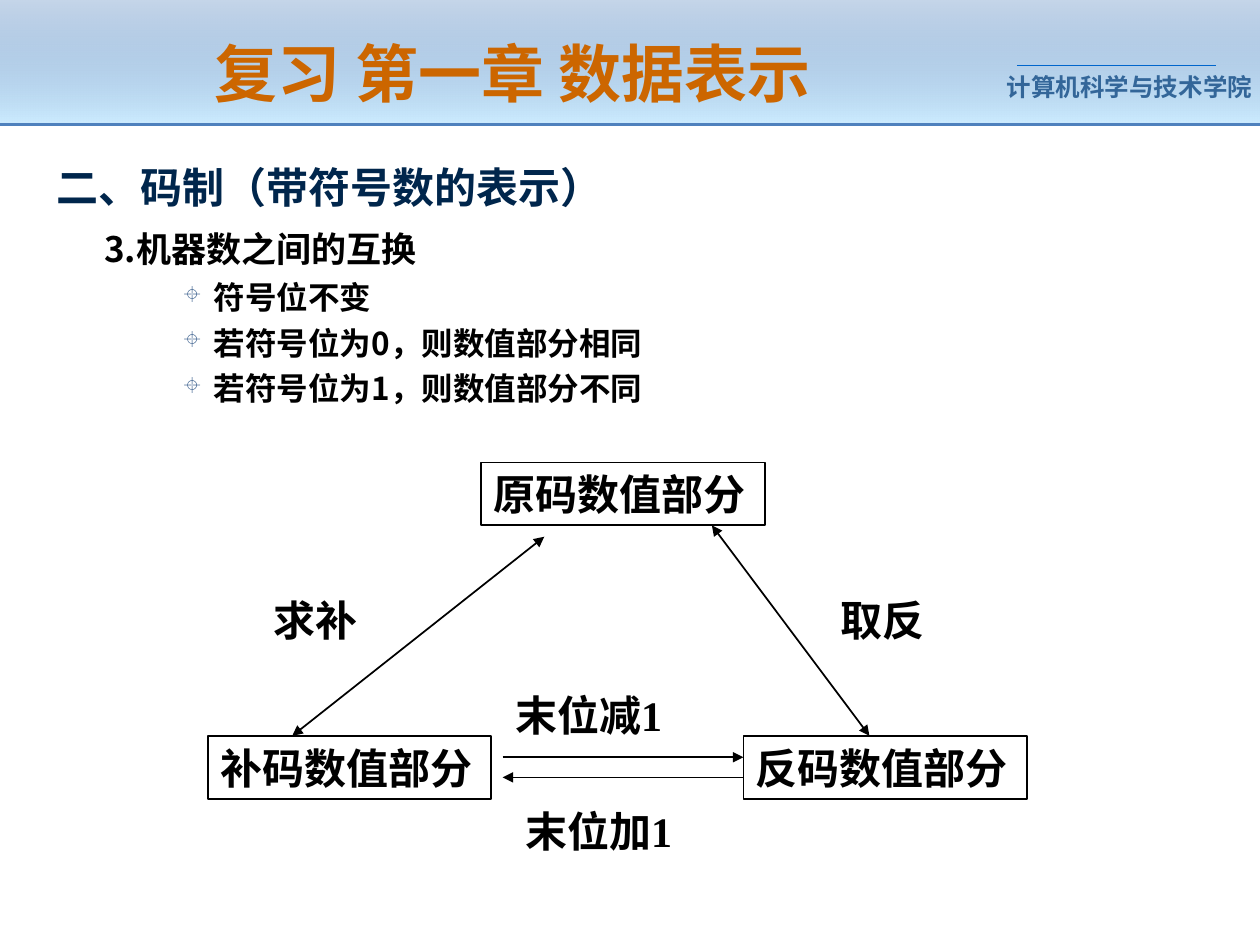
"""Build a review slide on converting between signed machine number codes."""
from dataclasses import dataclass

import pptx
import pptx.dml.color
import pptx.enum.dml
import pptx.enum.shapes
import pptx.enum.text
import pptx.oxml
import pptx.oxml.ns
import pptx.util
from pptx.dml.color import RGBColor
from pptx.util import Inches, Pt

BLACK = RGBColor(0x00, 0x00, 0x00)
NAVY = RGBColor(0x00, 0x26, 0x4C)
ORANGE = RGBColor(0xCC, 0x66, 0x00)
SCHOOL_BLUE = RGBColor(0x33, 0x66, 0x99)
RULE_BLUE = RGBColor(0x00, 0x66, 0xCC)
BAND_BLUE = RGBColor(0x4F, 0x81, 0xBD)
BAND_PALE = RGBColor(0xCC, 0xEC, 0xFF)
BULLET_BLUE = RGBColor(0x1F, 0x49, 0x7D)
CJK_FONT = "Noto Sans CJK SC"
DIAGRAM_FONT = "Times New Roman"
BULLET_FONT = "Wingdings"
POSITION_BULLET = "±"


@dataclass
class Label:
    text: str
    left: float
    top: float
    width: float
    boxed: bool = False


@dataclass
class Line:
    start: tuple[float, float]
    end: tuple[float, float]
    color: RGBColor = BLACK
    width: float = 1
    heads: tuple[str, ...] = ()


@dataclass
class Item:
    text: str
    size: float
    color: RGBColor
    margin: float
    space_before: float = 0
    bulleted: bool = False


HEADER_LINES = [
    Line((8.07, 0.52), (9.65, 0.52), RULE_BLUE, 0.75),
    Line((0, 0.99), (10, 0.99), BAND_BLUE, 1.5),
]
ITEMS = [
    Item("二、码制（带符号数的表示）", 24, NAVY, 0),
    Item("3.机器数之间的互换", 20, BLACK, 0.38, 9),
    Item("符号位不变", 18, BLACK, 1.25, 5, True),
    Item("若符号位为0，则数值部分相同", 18, BLACK, 1.25, 4.5, True),
    Item("若符号位为1，则数值部分不同", 18, BLACK, 1.25, 4.5, True),
]
LABELS = [
    Label("原码数值部分", 3.82, 3.67, 2.25, True),
    Label("反码数值部分", 5.9, 5.84, 2.25, True),
    Label("补码数值部分", 1.65, 5.84, 2.25, True),
    Label("取反", 6.57, 4.67, 0.92),
    Label("求补", 2.07, 4.67, 0.92),
    Label("末位减1", 3.99, 5.42, 1.5),
    Label("末位加1", 4.07, 6.34, 1.5),
]
ARROWS = [
    Line((5.65, 4.17), (6.9, 5.84), heads=("headEnd", "tailEnd")),
    Line((4.32, 4.26), (2.32, 5.84), heads=("headEnd", "tailEnd")),
    Line((3.99, 6.01), (5.9, 6.01), heads=("tailEnd",)),
    Line((5.9, 6.17), (3.99, 6.17), heads=("tailEnd",)),
]


def add_element(parent, tag: str, **attributes: str):
    element = parent.makeelement(pptx.oxml.ns.qn(tag), attributes)
    parent.append(element)
    return element


def format_runs(paragraph, size: float, color: RGBColor, font_name: str) -> None:
    for run in paragraph.runs:
        run.font.size = Pt(size)
        run.font.bold = True
        run.font.color.rgb = color
        run.font.name = font_name
        add_element(run.font._element, "a:ea", typeface=CJK_FONT)


def add_line(slide, line: Line) -> None:
    connector = slide.shapes.add_connector(
        pptx.enum.shapes.MSO_CONNECTOR.STRAIGHT,
        *(Inches(value) for value in line.start + line.end),
    )
    connector.line.color.rgb = line.color
    connector.line.width = Pt(line.width)
    for head in line.heads:
        add_element(connector.line._get_or_add_ln(), f"a:{head}", type="triangle")
    add_element(connector.element.spPr, "a:effectLst")


def add_label(slide, label: Label) -> None:
    place = [Inches(value) for value in (label.left, label.top, label.width, 0.5)]
    if label.boxed:
        shape = slide.shapes.add_shape(pptx.enum.shapes.MSO_SHAPE.RECTANGLE, *place)
        shape.shadow.inherit = False
        shape.fill.background()
        shape.line.color.rgb = BLACK
        shape.line.width = Pt(1)
    else:
        shape = slide.shapes.add_textbox(*place)
    text_frame = shape.text_frame
    text_frame.text = label.text
    text_frame.word_wrap = True
    text_frame.vertical_anchor = pptx.enum.text.MSO_ANCHOR.TOP
    paragraph = text_frame.paragraphs[0]
    paragraph.alignment = pptx.enum.text.PP_ALIGN.LEFT
    format_runs(paragraph, 24, BLACK, DIAGRAM_FONT)


def add_header(slide) -> None:
    band = slide.shapes.add_shape(
        pptx.enum.shapes.MSO_SHAPE.RECTANGLE, 0, 0, Inches(10), Inches(0.99)
    )
    band.shadow.inherit = False
    band.line.fill.background()
    band.fill.gradient()
    band.fill.gradient_angle = 270
    for stop, color, position in zip(
        band.fill.gradient_stops, (BAND_BLUE, BAND_PALE), (0, 1)
    ):
        stop.color.rgb = color
        stop.position = position
    first_color = band.element.spPr.find(".//" + pptx.oxml.ns.qn("a:srgbClr"))
    add_element(first_color, "a:alpha", val="32000")

    title = slide.shapes.title
    title.element.addprevious(band.element)
    title.left, title.top = Inches(0.45), Inches(0.22)
    title.width, title.height = Inches(7.24), Inches(0.7)
    title.text_frame.text = "复习 第一章 数据表示"
    title.text_frame.auto_size = pptx.enum.text.MSO_AUTO_SIZE.NONE
    title.text_frame.vertical_anchor = pptx.enum.text.MSO_ANCHOR.MIDDLE
    title.text_frame.paragraphs[0].alignment = pptx.enum.text.PP_ALIGN.CENTER
    format_runs(title.text_frame.paragraphs[0], 36, ORANGE, CJK_FONT)

    school = slide.shapes.add_textbox(
        Inches(7.99), Inches(0.52), Inches(1.97), Inches(0.34)
    )
    school.text_frame.text = "计算机科学与技术学院"
    school.text_frame.word_wrap = True
    school.text_frame.margin_left = school.text_frame.margin_right = 0
    format_runs(school.text_frame.paragraphs[0], 14, SCHOOL_BLUE, "Arial")
    for line in HEADER_LINES:
        add_line(slide, line)


def add_body(slide) -> None:
    body = slide.shapes.add_textbox(
        Inches(0.35), Inches(1.23), Inches(9.3), Inches(6.06)
    )
    text_frame = body.text_frame
    text_frame.word_wrap = True
    text_frame.text = "\n".join(item.text for item in ITEMS)
    for paragraph, item in zip(text_frame.paragraphs, ITEMS):
        properties = paragraph._p.get_or_add_pPr()
        properties.set("marL", str(Inches(item.margin)))
        if item.bulleted:
            paragraph.level = 2
            properties.set("indent", str(Inches(-0.25)))
            bullet_color = add_element(properties, "a:buClr")
            add_element(bullet_color, "a:srgbClr", val=str(BULLET_BLUE))
            add_element(properties, "a:buSzPct", val="70000")
            add_element(properties, "a:buFont", typeface=BULLET_FONT, charset="2")
            add_element(properties, "a:buChar", char=POSITION_BULLET)
        if item.space_before:
            paragraph.space_before = Pt(item.space_before)
        format_runs(paragraph, item.size, item.color, CJK_FONT)


def main() -> None:
    presentation = pptx.Presentation()
    presentation.slide_width, presentation.slide_height = Inches(10), Inches(7.5)
    slide = presentation.slides.add_slide(presentation.slide_layouts[5])
    add_header(slide)
    add_body(slide)
    for label in LABELS:
        add_label(slide, label)
    for arrow in ARROWS:
        add_line(slide, arrow)
    presentation.save("out.pptx")


if __name__ == "__main__":
    main()
